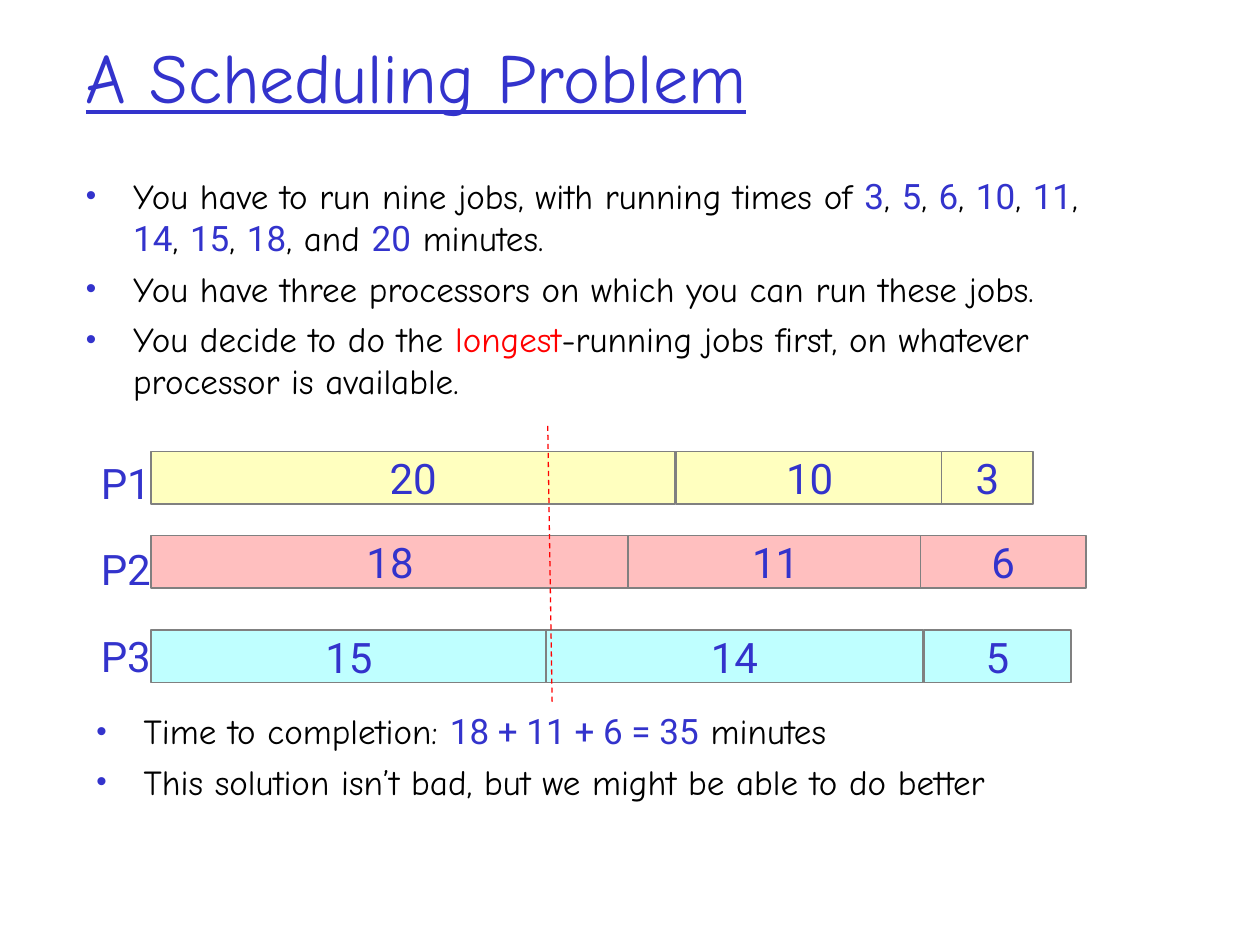
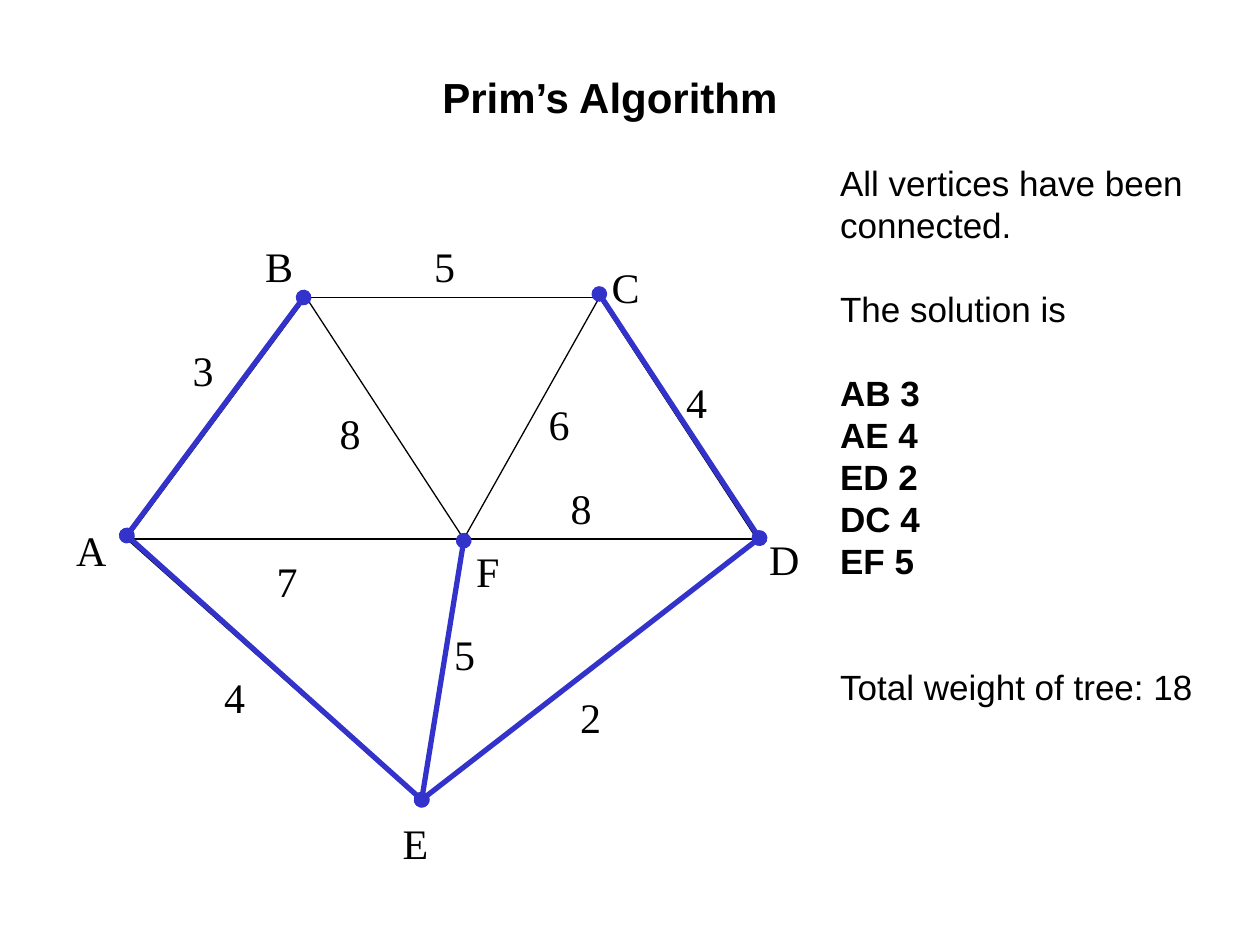
import pptx
import pptx.util
import pptx.dml.color
import pptx.enum.dml
import pptx.enum.shapes
import pptx.enum.text
import pptx.oxml.ns
import lxml.etree

Pt = pptx.util.Pt
BLUE, BLACK, RED, GREY = "3333CC", "000000", "FF0000", "808080"
COMIC, ROBOTO, ARIAL, TIMES = "Comic Neue", "Roboto", "Arial", "Times New Roman"
LEFT, CENTER = pptx.enum.text.PP_ALIGN.LEFT, pptx.enum.text.PP_ALIGN.CENTER
TOP, MIDDLE = pptx.enum.text.MSO_ANCHOR.TOP, pptx.enum.text.MSO_ANCHOR.MIDDLE
BULLET = [("buClr", {}), ("buSzPct", {"val": "85000"}),
          ("buFont", {"typeface": "Arial"}), ("buChar", {"char": "•"})]


def tint(code):
    return pptx.dml.color.RGBColor.from_string(code)


def write(shape, paras, face, size, color=BLACK, align=LEFT, anchor=TOP,
          gaps=0, lead=None, bullet=False):
    """Fill a shape with paragraphs; a run is (text, changes to the style)."""
    frame = shape.text_frame
    frame.word_wrap = True
    frame.vertical_anchor = anchor
    for i, runs in enumerate(paras):
        para = frame.paragraphs[0] if i == 0 else frame.add_paragraph()
        if bullet:
            props = para._p.get_or_add_pPr()
            props.set("marL", str(Pt(27)))
            props.set("indent", str(Pt(-27)))
            for tag, attrs in BULLET:
                name = pptx.oxml.ns.qn("a:" + tag)
                item = lxml.etree.SubElement(props, name, attrs)
                if tag == "buClr":
                    name = pptx.oxml.ns.qn("a:srgbClr")
                    lxml.etree.SubElement(item, name, val=BLUE)
        para.alignment = align
        para.line_spacing = lead
        if i:
            para.space_before = Pt(gaps[i] if isinstance(gaps, list) else gaps)
        for text, style in runs:
            run = para.add_run()
            run.text = text
            run.font.name = style.get("face", face)
            run.font.size = Pt(size)
            run.font.bold = style.get("bold", False)
            run.font.underline = style.get("under", False)
            run.font.color.rgb = tint(style.get("color", color))


deck = pptx.Presentation()
deck.slide_width, deck.slide_height = Pt(720), Pt(540)
blank = deck.slide_layouts[6]
jobs, graph = deck.slides.add_slide(blank), deck.slides.add_slide(blank)

# Scheduling: title and bullets
box = jobs.shapes.add_textbox(Pt(42), Pt(18), Pt(612), Pt(50))
write(box, [[("A Scheduling Problem", {"under": True})]], COMIC, 40, BLUE, anchor=MIDDLE)

num = {"face": ROBOTO, "color": BLUE}
times = [("You have to run nine jobs, with running times of ", {})]
for time in (3, 5, 6, 10, 11, 14, 15, 18):
    times += [(str(time), num), (", and " if time == 18 else ", ", {})]
times += [("20", num), (" minutes.", {})]
box = jobs.shapes.add_textbox(Pt(42), Pt(96), Pt(612), Pt(394))
write(box, [
    times,
    [("You have three processors on which you can run these jobs.", {})],
    [("You decide to do the ", {}), ("longest", {"color": RED}),
     ("-running jobs first, on whatever processor is available.", {})],
], COMIC, 20, gaps=5, bullet=True)

box = jobs.shapes.add_textbox(Pt(48), Pt(402), Pt(630), Pt(96))
write(box, [
    [("Time to completion: ", {}), ("18 + 11 + 6 = 35", num), (" minutes", {})],
    [("This solution isn’t bad, but we might be able to do better", {})],
], COMIC, 20, gaps=5, bullet=True)

# Scheduling: one row of bars per processor, as (minutes, left, width)
rows = [
    (258, "FFFFBF", [(20, 86.4, 299.5), (10, 386.5, 152.5), (3, 538, 52.5)]),
    (306, "FFBFBF", [(18, 86.4, 273), (11, 359, 168.5), (6, 526, 94.5)]),
    (360, "BFFFFF", [(15, 86.4, 226), (14, 312, 215.5), (5, 528, 84)]),
]
for top, fill, bars in rows:
    for time, left, width in bars:
        bar = jobs.shapes.add_shape(pptx.enum.shapes.MSO_SHAPE.RECTANGLE,
                                    Pt(left), Pt(top), Pt(width), Pt(30))
        bar.shadow.inherit = False
        bar.fill.solid()
        bar.fill.fore_color.rgb = tint(fill)
        bar.line.color.rgb = tint(GREY)
        bar.line.width = Pt(1)
        write(bar, [[(str(time), {})]], ROBOTO, 24, BLUE, CENTER, MIDDLE)

box = jobs.shapes.add_textbox(Pt(50.5), Pt(252), Pt(47.5), Pt(140))
write(box, [[(f"P{i}", {})] for i in (1, 2, 3)], ROBOTO, 24, BLUE, gaps=15, lead=1.2)

# Prim: title
box = graph.shapes.add_textbox(Pt(65), Pt(37.5), Pt(567), Pt(36))
write(box, [[("Prim’s Algorithm", {"bold": True})]], ARIAL, 24, align=CENTER)

# Prim: vertex names and edge weights
marks = [
    ("A", 36.5, 296), ("F", 265, 308), ("B", 144.5, 134), ("C", 342.5, 146),
    ("D", 432.5, 301.5), ("E", 223, 463.5), ("2", 324.5, 391.5), ("7", 151, 314),
    ("4", 121, 380), ("5", 252.5, 355.5), ("8", 187, 229.5), ("6", 306.5, 224),
    ("4", 385, 211.5), ("5", 241, 134), ("3", 103, 193.5), ("8", 319, 272),
]
for mark, left, top in marks:
    box = graph.shapes.add_textbox(Pt(left), Pt(top), Pt(36), Pt(36))
    write(box, [[(mark, {})]], TIMES, 24)

# Prim: solution, with gaps of whole lines
tree = ["AB 3", "AE 4", "ED 2", "DC 4", "EF 5"]
lines = ["All vertices have been", "connected.", "The solution is", *tree,
         "Total weight of tree: 18"]
box = graph.shapes.add_textbox(Pt(473), Pt(88.5), Pt(227), Pt(343.5))
write(box, [[(line, {"bold": line in tree})] for line in lines], ARIAL, 20,
      gaps=[0, 0, 24, 24, 0, 0, 0, 0, 48])

# Lines: time mark, all edges, then the tree on top
thin = {"A": (72.5, 308), "B": (175, 170), "C": (342.5, 170),
        "D": (432.5, 308), "E": (241, 458), "F": (265, 308)}
thick = {"A": (72.5, 306), "B": (173.5, 170), "C": (342.5, 168),
         "D": (434, 307.5), "E": (241, 457), "F": (265, 309)}
links = [(jobs, (315.5, 401), (313, 242), RED, 0.75)]
for a, b in "AB BC CD AF FD BF FC AE EF ED".split():
    links.append((graph, thin[a], thin[b], BLACK, 0.75))
for a, b in "AB AE ED DC EF".split():
    links.append((graph, thick[a], thick[b], BLUE, 3))
for slide, start, end, color, width in links:
    link = slide.shapes.add_connector(pptx.enum.shapes.MSO_CONNECTOR.STRAIGHT,
                                      *map(Pt, start + end))
    link.line.color.rgb = tint(color)
    link.line.width = Pt(width)
    if color == RED:
        link.line.dash_style = pptx.enum.dml.MSO_LINE.DASH
    if color == BLUE:
        for tag in ("a:headEnd", "a:tailEnd"):
            lxml.etree.SubElement(link.line._ln, pptx.oxml.ns.qn(tag), type="oval")
    lxml.etree.SubElement(link._element.spPr, pptx.oxml.ns.qn("a:effectLst"))

deck.save("out.pptx")
